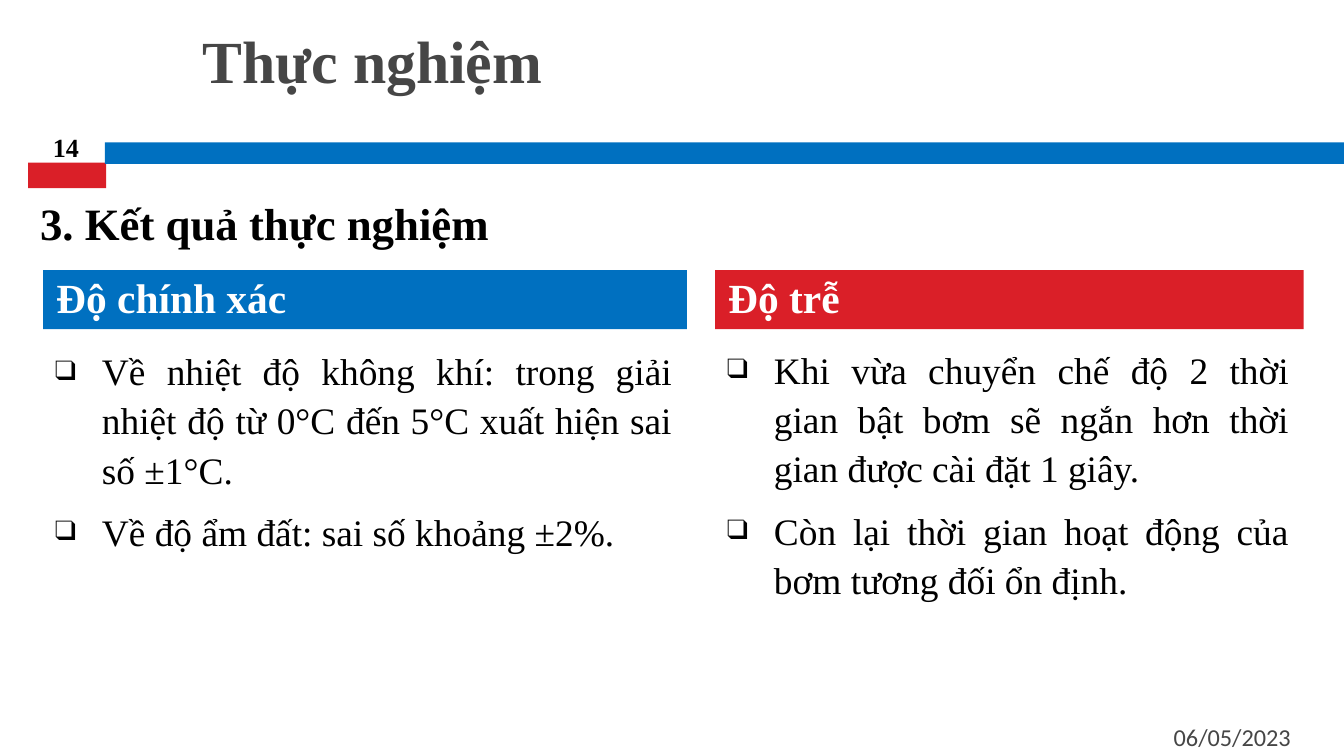
import pptx
import pptx.util
import pptx.dml.color
import pptx.enum.shapes
import pptx.enum.text
import pptx.oxml.ns
import lxml.etree

Inches = pptx.util.Inches
Pt = pptx.util.Pt
ALIGN = pptx.enum.text.PP_ALIGN
ANCHOR = pptx.enum.text.MSO_ANCHOR

THEME = {
    "serif": "Times New Roman", "sans": "Calibri",
    "blue": "0070C0", "red": "DA1F28",
    "black": "000000", "white": "FFFFFF", "grey": "464646",
    "title": 32, "section": 24, "heading": 22.2, "body": 20, "number": 14, "date": 13,
}

SLIDE_WIDTH = 10
SLIDE_HEIGHT = SLIDE_WIDTH * 9 / 16

TITLE = "Thực nghiệm"
SECTION = "3. Kết quả thực nghiệm"
PAGE_NUMBER = "14"
DATE = "06/05/2023"

FINDINGS = [
    {"heading": "Độ chính xác", "color": "blue", "left": 0.32, "width": 4.79,
     "points": ["Về nhiệt độ không khí: trong giải nhiệt độ từ 0°C đến 5°C xuất hiện sai số ±1°C.",
                "Về độ ẩm đất: sai số khoảng ±2%."],
     "points_top": 2.51},
    {"heading": "Độ trễ", "color": "red", "left": 5.32, "width": 4.38,
     "points": ["Khi vừa chuyển chế độ 2 thời gian bật bơm sẽ ngắn hơn thời gian được cài đặt 1 giây.",
                "Còn lại thời gian hoạt động của bơm tương đối ổn định."],
     "points_top": 2.5},
]
HEADING_TOP, HEADING_HEIGHT = 2.01, 0.44
POINTS_BOTTOM = 4.91
BULLET_INDENT = 0.35


def rgb(color):
    return pptx.dml.color.RGBColor.from_string(THEME[color])


def add_bar(slide, box, color):
    bar = slide.shapes.add_shape(pptx.enum.shapes.MSO_SHAPE.RECTANGLE, *map(Inches, box))
    bar.shadow.inherit = False
    bar.fill.solid()
    bar.fill.fore_color.rgb = rgb(color)
    bar.line.fill.background()
    return bar


def add_bullet(paragraph):
    """Give the paragraph a hanging square bullet."""
    properties = paragraph._p.get_or_add_pPr()
    properties.set("marL", str(Inches(BULLET_INDENT)))
    properties.set("indent", str(-Inches(BULLET_INDENT)))
    qn = pptx.oxml.ns.qn
    bullet_color = lxml.etree.SubElement(properties, qn("a:buClr"))
    lxml.etree.SubElement(bullet_color, qn("a:srgbClr"), val=THEME["black"])
    lxml.etree.SubElement(properties, qn("a:buSzPct"), val="75000")
    lxml.etree.SubElement(properties, qn("a:buFont"), typeface=THEME["serif"])
    lxml.etree.SubElement(properties, qn("a:buChar"), char="❑")


def write(shape, lines, size, color, bold=False, font="serif", align=ALIGN.LEFT,
          anchor=ANCHOR.TOP, spacing=None, bulleted=False):
    """Fill a shape with one paragraph per line."""
    frame = shape.text_frame
    frame.word_wrap = True
    frame.vertical_anchor = anchor
    for index, line in enumerate(lines):
        paragraph = frame.add_paragraph() if index else frame.paragraphs[0]
        if bulleted:
            add_bullet(paragraph)
        paragraph.alignment = align
        if spacing:
            paragraph.line_spacing = spacing
        if index:
            paragraph.space_before = Pt(7)
        run = paragraph.add_run()
        run.text = line
        run.font.name = THEME[font]
        run.font.size = Pt(THEME[size])
        run.font.bold = bold
        run.font.color.rgb = rgb(color)


def add_text(slide, box, lines, size, color, **style):
    write(slide.shapes.add_textbox(*map(Inches, box)), lines, size, color, **style)


def add_finding(slide, finding):
    left, width, top = finding["left"], finding["width"], finding["points_top"]
    heading = add_bar(slide, (left, HEADING_TOP, width, HEADING_HEIGHT), finding["color"])
    write(heading, [finding["heading"]], "heading", "white", bold=True,
          align=ALIGN.JUSTIFY, anchor=ANCHOR.MIDDLE, spacing=0.9)
    add_text(slide, (left - 0.01, top, width, POINTS_BOTTOM - top), finding["points"],
             "body", "black", align=ALIGN.JUSTIFY, spacing=1.1, bulleted=True)


def main():
    deck = pptx.Presentation()
    deck.slide_width, deck.slide_height = Inches(SLIDE_WIDTH), Inches(SLIDE_HEIGHT)
    slide = deck.slides.add_slide(deck.slide_layouts[6])

    add_bar(slide, (0.21, 1.21, 0.58, 0.19), "red")
    add_bar(slide, (0.78, 1.06, 9.23, 0.16), "blue")
    add_text(slide, (0.2, 1.41, 8.67, 0.5), [SECTION], "section", "black", bold=True)
    add_text(slide, (1.41, 0.13, 8.18, 0.81), [TITLE], "title", "grey", bold=True)
    add_text(slide, (6.78, 5.33, 2.92, 0.3), [DATE], "date", "grey", font="sans",
             align=ALIGN.RIGHT, anchor=ANCHOR.MIDDLE)
    add_text(slide, (0.2, 0.92, 0.58, 0.34), [PAGE_NUMBER], "number", "black", bold=True,
             align=ALIGN.CENTER, anchor=ANCHOR.BOTTOM)
    for finding in FINDINGS:
        add_finding(slide, finding)

    deck.save("out.pptx")


if __name__ == "__main__":
    main()
